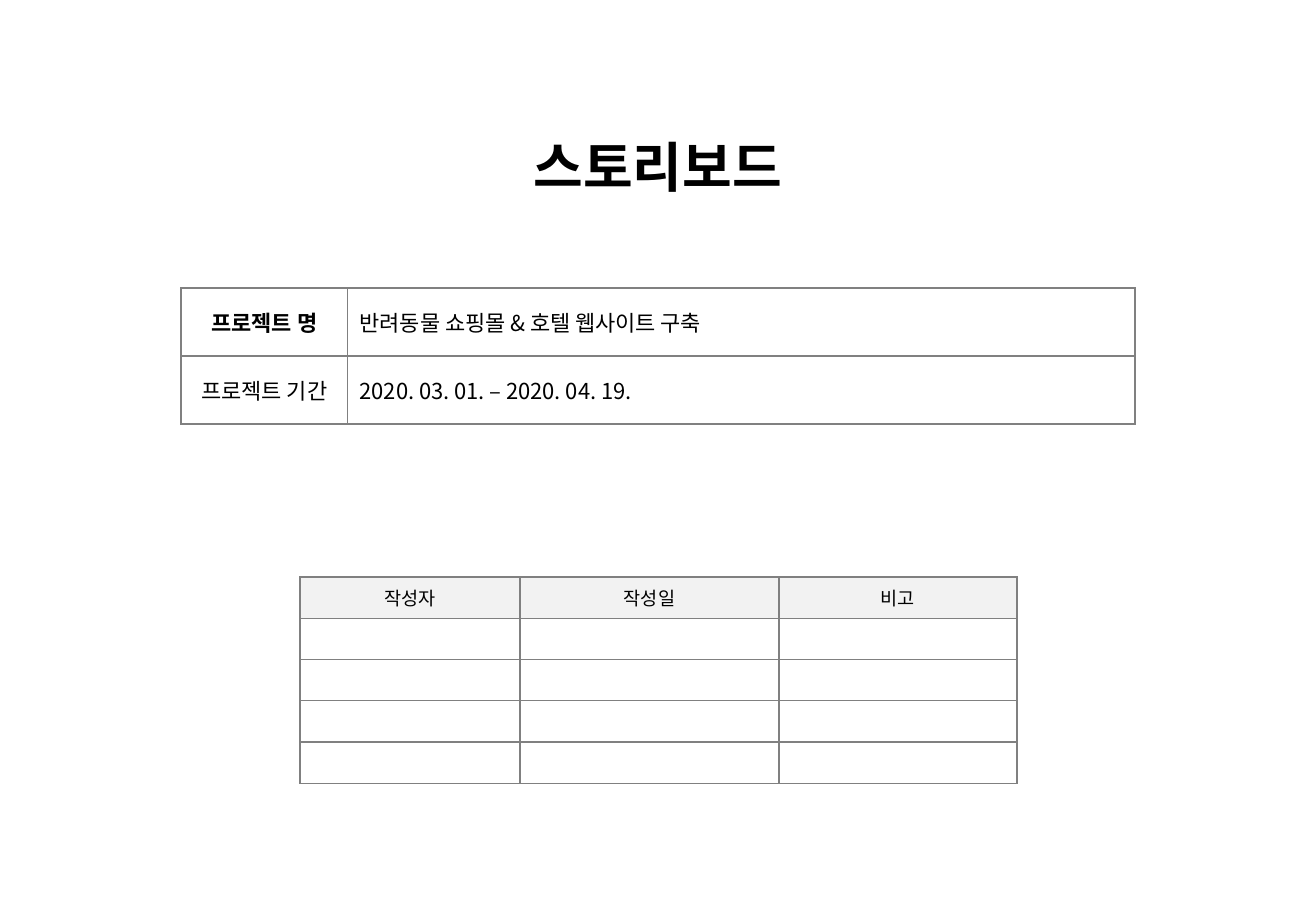
import pptx
import pptx.util
import pptx.dml.color
import pptx.enum.text
import pptx.oxml.ns
import lxml.etree

Inches = pptx.util.Inches
Pt = pptx.util.Pt
qn = pptx.oxml.ns.qn
ALIGN = pptx.enum.text.PP_ALIGN
MIDDLE = pptx.enum.text.MSO_ANCHOR.MIDDLE
KOREAN = "Noto Sans CJK KR"


def rgb(hex_string):
    return pptx.dml.color.RGBColor.from_string(hex_string)


class CoverPage:
    """Holds the cover's style and the slide being filled."""

    ink = "000000"
    rule = "808080"
    paper = "FFFFFF"
    header = "F2F2F2"

    def __init__(self, slide):
        self.s = slide

    def add_text(self, p, text, size, font, bold=False, align=ALIGN.CENTER):
        p.alignment = align
        r = p.add_run()
        r.text = text
        r.font.size = Pt(size)
        r.font.name = font
        r.font.bold = bold
        r.font.color.rgb = rgb(self.ink)
        ea = lxml.etree.SubElement(r.font._element, qn("a:ea"))
        ea.set("typeface", KOREAN)

    def title(self, text, left, top, width, height):
        sp = self.s.shapes.add_textbox(
            Inches(left), Inches(top), Inches(width), Inches(height))
        tf = sp.text_frame
        tf.word_wrap = True
        self.add_text(tf.paragraphs[0], text, 32, "Arial", bold=True)

    def border(self, cell):
        tc_pr = cell._tc.get_or_add_tcPr()
        for index, side in enumerate(("lnL", "lnR", "lnT", "lnB")):
            ln = lxml.etree.Element(qn("a:" + side), w=str(Pt(1)))
            fill = lxml.etree.SubElement(ln, qn("a:solidFill"))
            lxml.etree.SubElement(fill, qn("a:srgbClr"), val=self.rule)
            tc_pr.insert(index, ln)

    def table(self, left, top, col_widths, row_height, rows):
        """Add a ruled table; each row lists a dict of text style, or None, per cell."""
        tbl = self.s.shapes.add_table(
            len(rows), len(col_widths), Inches(left), Inches(top),
            Inches(sum(col_widths)), Inches(row_height * len(rows))).table
        for col, width in zip(tbl.columns, col_widths):
            col.width = Inches(width)
        for i, row in enumerate(rows):
            tbl.rows[i].height = Inches(row_height)
            for j, content in enumerate(row):
                cell = tbl.cell(i, j)
                cell.vertical_anchor = MIDDLE
                cell.fill.solid()
                cell.fill.fore_color.rgb = rgb(self.paper)
                self.border(cell)
                p = cell.text_frame.paragraphs[0]
                if content:
                    self.add_text(p, **content)
                else:
                    # keeps an empty row from growing
                    lxml.etree.SubElement(p._p, qn("a:endParaRPr"), sz="1100")
        return tbl

    def shade_header(self, tbl):
        for cell in tbl.rows[0].cells:
            cell.fill.fore_color.rgb = rgb(self.header)


def main():
    prs = pptx.Presentation()
    prs.slide_width = Inches(10.83)
    prs.slide_height = Inches(7.5)
    page = CoverPage(prs.slides.add_slide(prs.slide_layouts[6]))

    page.title("스토리보드", 0.98, 1.05, 8.87, 0.64)

    headings = [dict(text=t, size=11, font="Arial")
                for t in ("작성자", "작성일", "비고")]
    authors = page.table(2.47, 4.75, [1.81, 2.13, 1.96], 0.34,
                         [headings] + [[None] * 3] * 4)
    page.shade_header(authors)

    project = [("프로젝트 명", True, "반려동물 쇼핑몰 & 호텔 웹사이트 구축"),
               ("프로젝트 기간", False, "2020. 03. 01. – 2020. 04. 19.")]
    page.table(1.49, 2.37, [1.37, 6.48], 0.56, [
        [dict(text=label, size=13, font=KOREAN, bold=bold),
         dict(text=value, size=13, font=KOREAN, align=ALIGN.LEFT)]
        for label, bold, value in project])

    prs.save("out.pptx")


if __name__ == "__main__":
    main()
